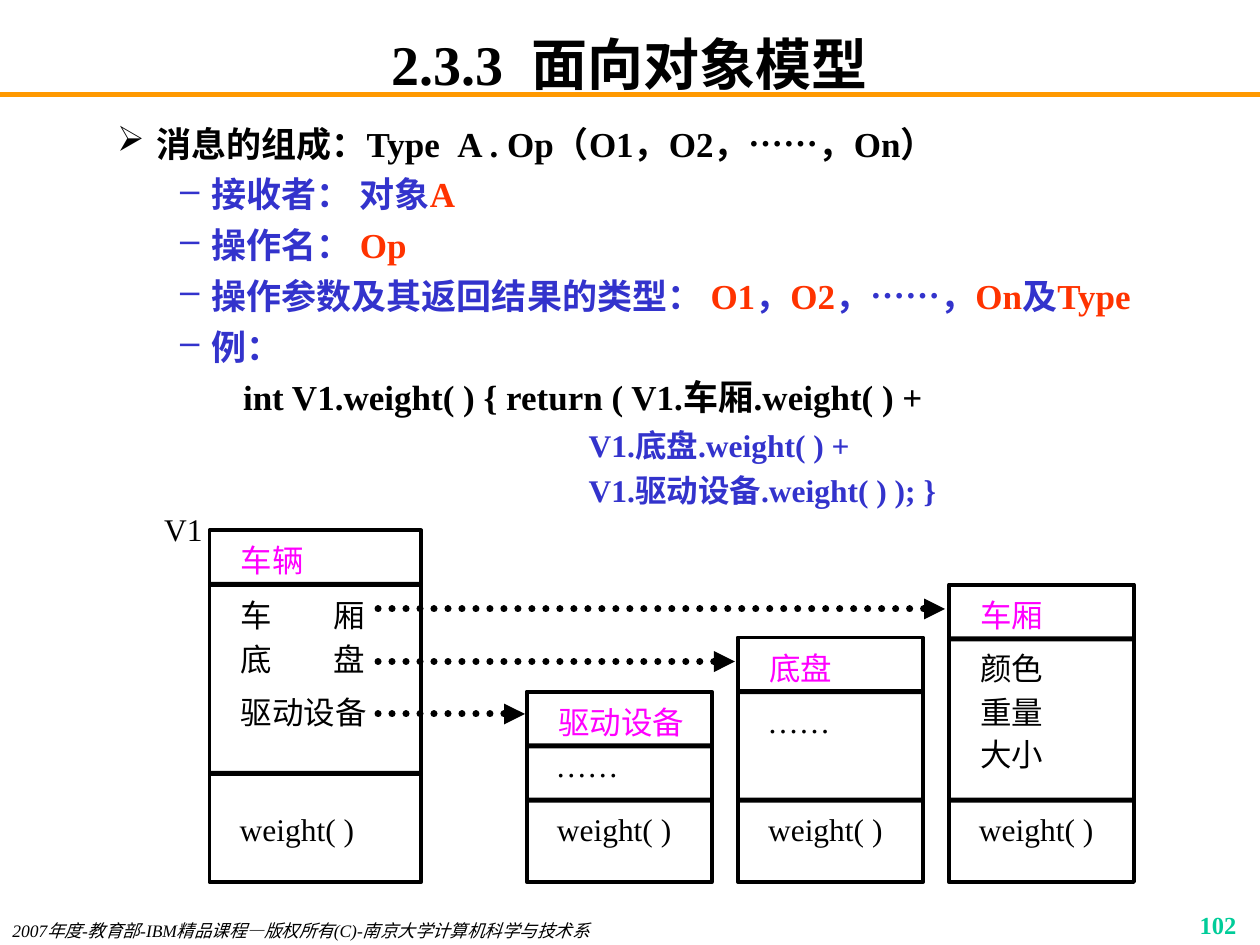
from dataclasses import dataclass
from typing import Optional

import pptx
import pptx.dml.color
import pptx.enum.dml
import pptx.enum.shapes
import pptx.enum.text
import pptx.oxml
import pptx.oxml.ns
import pptx.util

Pt = pptx.util.Pt
RGBColor = pptx.dml.color.RGBColor
ALIGN = pptx.enum.text.PP_ALIGN
ANCHOR = pptx.enum.text.MSO_ANCHOR
qn = pptx.oxml.ns.qn

BLACK = RGBColor(0, 0, 0)
WHITE = RGBColor(255, 255, 255)
ORANGE = RGBColor(255, 153, 0)
BLUE = RGBColor(51, 51, 204)
RED = RGBColor(255, 51, 0)
MAGENTA = RGBColor(255, 0, 255)
GREEN = RGBColor(0, 204, 153)

LATIN, CJK = "Times New Roman", "Noto Sans CJK SC"
BOTTOM = 504  # shared lower edge of the class boxes
CLASS_W = 105.8


@dataclass
class Run:
    text: str
    color: RGBColor = BLACK
    spacing: float = 0  # extra points after each letter


@dataclass
class Para:
    runs: list[Run]
    left: float
    indent: float = 0
    bullet: str = ""
    size: float = 20
    before: float = 5


@dataclass
class Label:
    text: str
    x: float
    y: float
    width: Optional[float] = None  # default: one full-width letter per 18 pt
    font: str = CJK
    color: RGBColor = BLACK


@dataclass
class ClassBox:
    name: str
    x: float
    y: float
    width: float
    method_rule: float
    labels: list[Label]


@dataclass
class Arrow:
    x1: float
    x2: float
    y: float


def add_run(p, run: Run, **fmt) -> None:
    r = p.add_run()
    r.text = run.text
    for key, value in ({"name": LATIN} | fmt).items():
        setattr(r.font, key, value)
    r.font.color.rgb = run.color
    rPr = r._r.get_or_add_rPr()
    ea = pptx.oxml.parse_xml(f'<a:ea {pptx.oxml.ns.nsdecls("a")} typeface="{CJK}"/>')
    rPr.find(qn("a:latin")).addnext(ea)
    if run.spacing:
        rPr.set("spc", str(int(run.spacing * 100)))


def add_box(s, x: float, y: float, w: float, h: float, **frame):
    tf = s.shapes.add_textbox(Pt(x), Pt(y), Pt(w), Pt(h)).text_frame
    for key, value in ({"word_wrap": True} | frame).items():
        setattr(tf, key, value)
    return tf


def add_line(s, x1: float, y: float, x2: float, color: RGBColor, width: float):
    sp = s.shapes.add_connector(pptx.enum.shapes.MSO_CONNECTOR.STRAIGHT,
                                Pt(x1), Pt(y), Pt(x2), Pt(y))
    sp.line.color.rgb = color
    sp.line.width = Pt(width)
    sp._element.spPr.append(pptx.oxml.parse_xml(
        f'<a:effectLst {pptx.oxml.ns.nsdecls("a")}/>'))
    return sp


def add_rect(s, x: float, y: float, w: float, h: float, fill: RGBColor,
             border: float = 0) -> None:
    sp = s.shapes.add_shape(pptx.enum.shapes.MSO_SHAPE.RECTANGLE,
                            Pt(x), Pt(y), Pt(w), Pt(h))
    sp.shadow.inherit = False
    sp.fill.solid()
    sp.fill.fore_color.rgb = fill
    if border:
        sp.line.color.rgb = BLACK
        sp.line.width = Pt(border)
    else:
        sp.line.fill.background()


def add_para(p, para: Para) -> None:
    pPr = p._p.get_or_add_pPr()
    pPr.set("marL", str(Pt(para.left)))
    pPr.set("indent", str(Pt(para.indent)))
    if para.bullet:
        ns = pptx.oxml.ns.nsdecls("a")
        for xml in (f'<a:buClr {ns}><a:srgbClr val="{para.runs[0].color}"/></a:buClr>',
                    f'<a:buChar {ns} char="{para.bullet}"/>'):
            pPr.append(pptx.oxml.parse_xml(xml))
    p.space_before = Pt(para.before)
    for run in para.runs:
        add_run(p, run, size=Pt(para.size), bold=True)


def add_label(s, label: Label) -> None:
    w = label.width or 18 * len(label.text)
    tf = add_box(s, label.x, label.y, w, 21.6, word_wrap=False, margin_left=0,
                 margin_right=0, margin_top=0, margin_bottom=0)
    p = tf.paragraphs[0]
    p.alignment = ALIGN.CENTER
    add_run(p, Run(label.text, label.color), size=Pt(18), name=label.font)


def add_class(s, box: ClassBox) -> None:
    add_rect(s, box.x, box.y, box.width, BOTTOM - box.y, WHITE, 2.25)
    for y in (box.y + 29.5, box.method_rule):
        add_rect(s, box.x, y, box.width, 2.9, BLACK)
    add_label(s, Label(box.name, box.x + 18, box.y + 6.3, color=MAGENTA))
    add_label(s, Label("weight( )", box.x + 17.2, 463, 65.5, LATIN))
    for label in box.labels:
        add_label(s, label)


def add_arrow(s, arrow: Arrow) -> None:
    sp = add_line(s, arrow.x1, arrow.y, arrow.x2, BLACK, 4)
    sp.line.dash_style = pptx.enum.dml.MSO_LINE.ROUND_DOT
    ln = sp.line._get_or_add_ln()
    ln.set("cap", "rnd")
    ln.append(pptx.oxml.parse_xml(
        f'<a:tailEnd {pptx.oxml.ns.nsdecls("a")} type="triangle"/>'))


def item(*runs: Run) -> Para:
    return Para(list(runs), 90, -18, "–")


MESSAGE = [
    Para([Run("消息的组成：Type"), Run(" ", spacing=5),
          Run("A . Op（O1，O2，……，On）")], 58.3, -22.3, "➢", before=0),
    item(Run("接收者： 对象", BLUE), Run("A", RED)),
    item(Run("操作名： ", BLUE), Run("Op", RED)),
    item(Run("操作参数及其返回结果的类型： ", BLUE), Run("O1", RED), Run("，", BLUE),
         Run("O2", RED), Run("，……，", BLUE), Run("On", RED), Run("及", BLUE),
         Run("Type", RED)),
    item(Run("例：", BLUE)),
    Para([Run("int V1.weight( ) { return ( V1.车厢.weight( ) +")], 126, -18),
    Para([Run("V1.底盘.weight( ) +", BLUE)], 305.5, size=18, before=4.5),
    Para([Run("V1.驱动设备.weight( ) ); }", BLUE)], 305.5, size=18, before=4.5),
]

CLASSES = [
    ClassBox("车辆", 119.7, 303.1, 121, 440.6, [
        Label("车", 137.5, 340.6), Label("厢", 190.8, 340.6),
        Label("底", 137.5, 365.8), Label("盘", 190.8, 365.8),
        Label("驱动设备", 137.5, 396)]),
    ClassBox("驱动设备", 301, 395.3, CLASS_W, 455.8,
             [Label("……", 317.5, 426.2, font=LATIN)]),
    ClassBox("底盘", 421.7, 364.3, CLASS_W, 455.8,
             [Label("……", 438.5, 401, font=LATIN)]),
    ClassBox("车厢", 542.2, 334.1, CLASS_W, 455.8, [
        Label("颜色", 560.2, 370.8), Label("重量", 560.2, 396),
        Label("大小", 560.2, 419.8)]),
]

ARROWS = [Arrow(216, 540, 348), Arrow(216, 420, 378), Arrow(216, 300, 408)]


def main() -> None:
    prs = pptx.Presentation()
    prs.slide_width, prs.slide_height = Pt(720), Pt(540)
    s = prs.slides.add_slide(prs.slide_layouts[6])

    # Title and rule
    add_line(s, 0, 54, 720, ORANGE, 3)
    tf = add_box(s, 54, 18, 612, 36, margin_top=0, margin_bottom=0,
                 vertical_anchor=ANCHOR.MIDDLE)
    p = tf.paragraphs[0]
    p.alignment = ALIGN.CENTER
    for run in (Run("2.3.3"), Run(" ", spacing=8), Run("面向对象模型")):
        add_run(p, run, size=Pt(32), bold=True)

    # Footer and page number
    tf = add_box(s, 0, 522, 396, 18)
    add_run(tf.paragraphs[0],
            Run("2007年度-教育部-IBM精品课程—版权所有(C)-南京大学计算机科学与技术系"),
            size=Pt(10), italic=True)
    tf = add_box(s, 563.8, 516.2, 149.8, 18)
    tf.paragraphs[0].alignment = ALIGN.RIGHT
    add_run(tf.paragraphs[0], Run("102", GREEN), size=Pt(14), bold=True)

    # Message structure
    tf = add_box(s, 23.8, 66.2, 642.2, 240)
    for i, para in enumerate(MESSAGE):
        add_para(tf.add_paragraph() if i else tf.paragraphs[0], para)

    # Object diagram
    add_label(s, Label("V1", 93.6, 291.6, 22.3, LATIN))
    for box in CLASSES:
        add_class(s, box)
    for arrow in ARROWS:
        add_arrow(s, arrow)

    prs.save("out.pptx")


if __name__ == "__main__":
    main()
